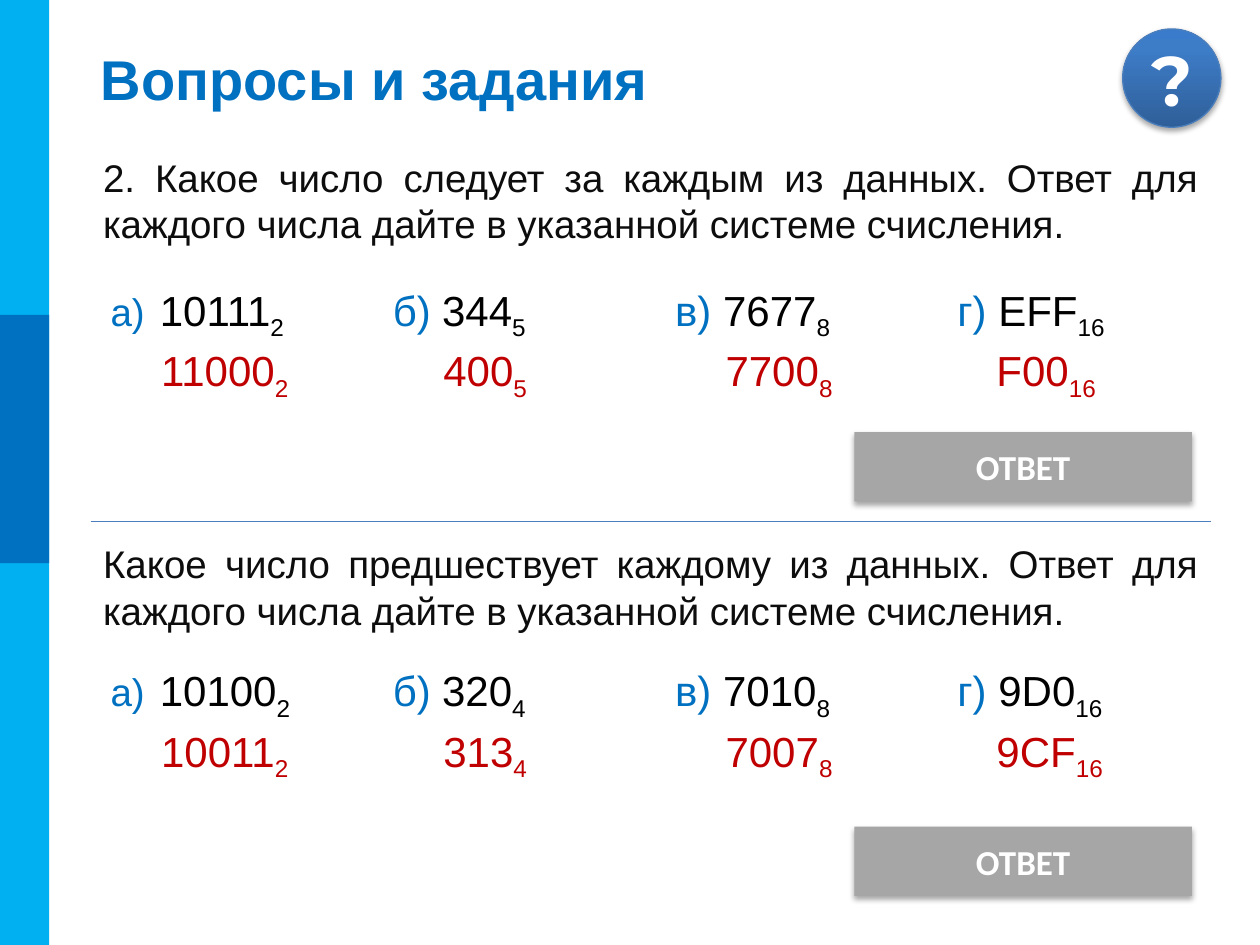
import copy

import pptx
import pptx.dml.color
import pptx.enum.shapes
import pptx.enum.text
import pptx.oxml
import pptx.oxml.ns
import pptx.util

Inches, Pt = pptx.util.Inches, pptx.util.Pt
RGBColor = pptx.dml.color.RGBColor
ALIGN = pptx.enum.text.PP_ALIGN
SHAPE = pptx.enum.shapes.MSO_SHAPE

SKY = RGBColor(0x00, 0xB0, 0xF0)
BLUE = RGBColor(0x00, 0x70, 0xC0)
LINE_BLUE = RGBColor(0x4B, 0x7E, 0xBC)
INK = RGBColor(0x0D, 0x0D, 0x0D)
BLACK = RGBColor(0x00, 0x00, 0x00)
RED = RGBColor(0xC0, 0x00, 0x00)
GREY = RGBColor(0xA6, 0xA6, 0xA6)
WHITE = RGBColor(0xFF, 0xFF, 0xFF)
BADGE_STOPS = [
    (0, RGBColor(0x2F, 0x5F, 0x99)),
    (0.8, RGBColor(0x3D, 0x7C, 0xC7)),
    (1, RGBColor(0x3A, 0x7C, 0xCB)),
]
SHADOW = (
    f'<a:outerShdw {pptx.oxml.ns.nsdecls("a")} blurRad="40000" dist="23000" '
    'dir="5400000" rotWithShape="0"><a:srgbClr val="000000">'
    '<a:alpha val="35000"/></a:srgbClr></a:outerShdw>'
)


def add_span(para, text, size, color, font="Arial", bold=False):
    span = para.add_run()
    span.text = text
    span.font.name, span.font.size = font, Pt(size)
    span.font.bold = bold
    span.font.color.rgb = color
    return span


def add_block(kind, left, top, width, height, fill=None, shadow=False):
    box = page.shapes.add_shape(kind, Inches(left), Inches(top), Inches(width), Inches(height))
    if fill is not None:
        box.fill.solid()
        box.fill.fore_color.rgb = fill
    box.line.fill.background()
    box.shadow.inherit = False
    if shadow:
        effects = box._element.spPr.find(pptx.oxml.ns.qn("a:effectLst"))
        effects.append(pptx.oxml.parse_xml(SHADOW))
    return box


deck = pptx.Presentation()
deck.slide_width, deck.slide_height = Inches(10), Inches(7.5)
page = deck.slides.add_slide(deck.slide_layouts[5])

# Side bands
add_block(SHAPE.RECTANGLE, 0, 0, 0.39, 7.5, SKY)
add_block(SHAPE.RECTANGLE, 0, 2.5, 0.39, 1.97, BLUE)

# Question mark badge
badge = add_block(SHAPE.OVAL, 8.91, 0.23, 0.78, 0.78, shadow=True)
badge.fill.gradient()
badge.fill.gradient_angle = 90
stop_list = badge._element.spPr.find(".//" + pptx.oxml.ns.qn("a:gsLst"))
stop_list.append(copy.deepcopy(stop_list[-1]))
for stop, (position, color) in zip(badge.fill.gradient_stops, BADGE_STOPS):
    stop.position = position
    stop.color.rgb = color
badge.line.color.rgb = LINE_BLUE
badge.line.width = Pt(0.75)
badge.text_frame.word_wrap = False
para = badge.text_frame.paragraphs[0]
para.alignment = ALIGN.CENTER
add_span(para, "?", 40, WHITE, "Montserrat", True)

# Title
title = page.shapes.title
title.left, title.top = Inches(0.7), Inches(0.3)
title.width, title.height = Inches(9.02), Inches(0.64)
para = title.text_frame.paragraphs[0]
para.alignment = ALIGN.LEFT
add_span(para, "Вопросы и задания", 32, BLUE, bold=True)

# Each task: question, its top, top of the numbers, top of the button, numbers, answers, bases
TASKS = [
    ("2. Какое число следует за каждым из данных. Ответ для каждого числа "
     "дайте в указанной системе счисления.", 1.17, 1.98, 3.43,
     ["10111", "344", "7677", "EFF"], ["11000", "400", "7700", "F00"], [2, 5, 8, 16]),
    ("Какое число предшествует каждому из данных. Ответ для каждого числа "
     "дайте в указанной системе счисления.", 4.24, 5, 6.56,
     ["10100", "320", "7010", "9D0"], ["10011", "313", "7007", "9СF"], [2, 4, 8, 16]),
]
LABELS = [("а)\t", 22), ("б)\t", 24), ("в) ", 24), ("г) ", 24)]
NUMBER_LEFTS = [0.78 + 2.24 * column for column in range(4)]
ANSWER_LEFTS = [1.18, 3.42, 5.66, 7.81]

for question, top, number_top, button_top, numbers, answers, bases in TASKS:
    # Question
    box = page.shapes.add_textbox(Inches(0.72), Inches(top), Inches(8.89), Inches(1.33))
    box.text_frame.word_wrap = True
    para = box.text_frame.paragraphs[0]
    para.alignment = ALIGN.JUSTIFY
    para.space_before = Pt(4.4)
    add_span(para, question, 22, INK)

    # Numbers, then the answers below them
    rows = [
        (number_top, NUMBER_LEFTS, numbers, BLACK, LABELS),
        (number_top + 0.48, ANSWER_LEFTS, answers, RED, [None] * 4),
    ]
    for row_top, lefts, values, color, labels in rows:
        for left, value, base, label in zip(lefts, values, bases, labels):
            box = page.shapes.add_textbox(Inches(left), Inches(row_top), Inches(1.95), Inches(0.71))
            box.text_frame.word_wrap = True
            para = box.text_frame.paragraphs[0]
            para.alignment = ALIGN.JUSTIFY
            para.line_spacing = 1.5
            para.space_before = Pt(4.8)
            indents = para._p.get_or_add_pPr()
            indents.set("marL", str(Inches(0.39)))
            indents.set("indent", str(-Inches(0.39)))
            if label:
                add_span(para, label[0], label[1], BLUE)
            add_span(para, value, 24, color)
            subscript = add_span(para, str(base), 24, color)
            subscript.font._element.set("baseline", "-25000")

    # Answer button
    button = add_block(SHAPE.RECTANGLE, 6.78, button_top, 2.68, 0.55, GREY, shadow=True)
    para = button.text_frame.paragraphs[0]
    para.alignment = ALIGN.CENTER
    add_span(para, "ОТВЕТ", 20, WHITE, "Calibri", True)

# Divider between the tasks
divider = page.shapes.add_connector(
    pptx.enum.shapes.MSO_CONNECTOR.STRAIGHT,
    Inches(0.72), Inches(4.14), Inches(9.61), Inches(4.14))
divider.line.color.rgb = LINE_BLUE
divider.line.width = Pt(0.75)
divider._element.spPr.append(pptx.oxml.parse_xml(f'<a:effectLst {pptx.oxml.ns.nsdecls("a")}/>'))

deck.save("out.pptx")
